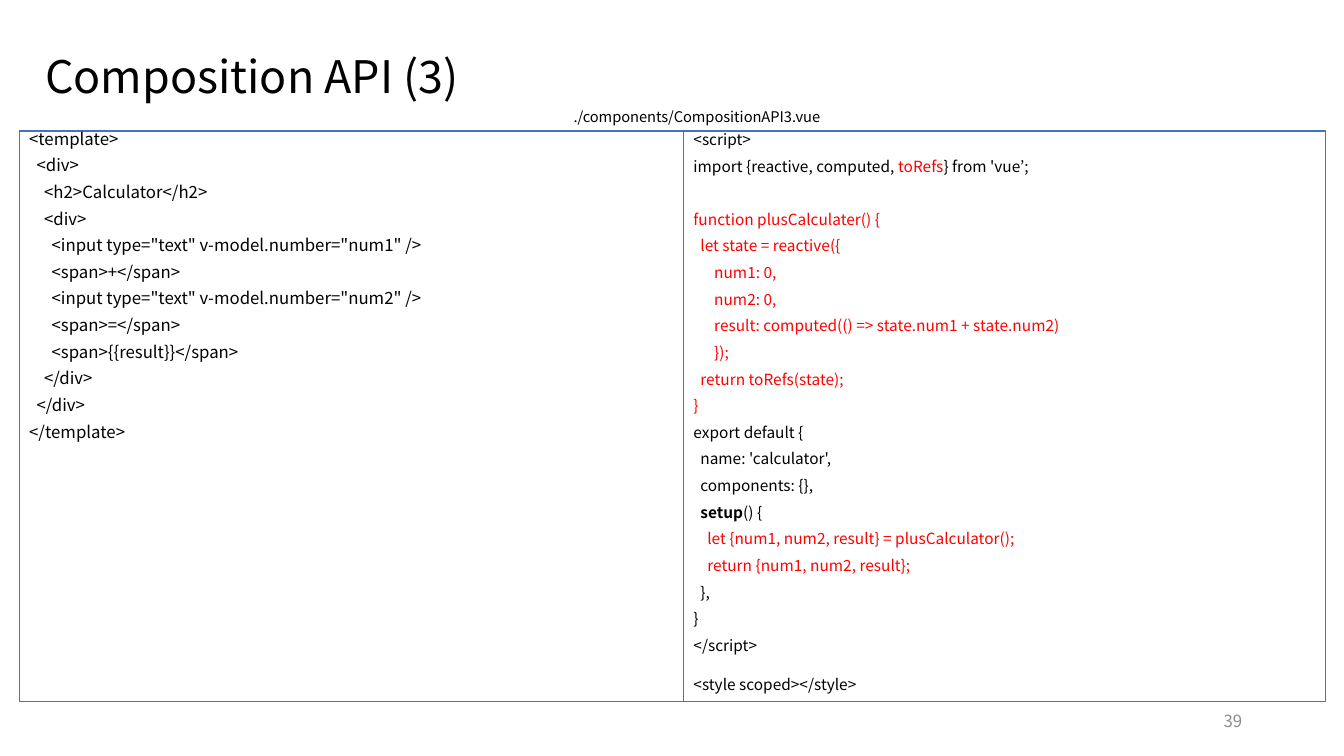
from pptx import Presentation
from pptx.dml.color import RGBColor
from pptx.enum.shapes import MSO_SHAPE
from pptx.enum.text import MSO_ANCHOR, PP_ALIGN
from pptx.util import Pt

PX = 9144  # 100 px to the inch
FONT = "Noto Sans CJK KR"
BLACK = RGBColor(0x00, 0x00, 0x00)
RED = RGBColor(0xFF, 0x00, 0x00)
GRAY = RGBColor(0x8C, 0x8C, 0x8C)
BLUE = RGBColor(0x44, 0x72, 0xC4)
RECT = MSO_SHAPE.RECTANGLE
TOP, MIDDLE = MSO_ANCHOR.TOP, MSO_ANCHOR.MIDDLE
LEFT, RIGHT = PP_ALIGN.LEFT, PP_ALIGN.RIGHT

LINE, GAP = 9, 10  # code line height and space between lines, in points

# Code blocks: extra space above, colour, lines.
# A line of mixed style is a list of (text, colour, bold).
MARKUP = [
    (0, BLACK, [
        '<template>',
        '  <div>',
        '    <h2>Calculator</h2>',
        '    <div>',
        '      <input type="text" v-model.number="num1" />',
        '      <span>+</span>',
        '      <input type="text" v-model.number="num2" />',
        '      <span>=</span>',
        '      <span>{{result}}</span>',
        '    </div>',
        '  </div>',
        '</template>',
    ]),
]
SCRIPT = [
    (0, BLACK, [
        "<script>",
        [("import {reactive, computed, ", BLACK, False),
         ("toRefs", RED, False),
         ("} from 'vue’;", BLACK, False)],
    ]),
    (LINE + GAP, RED, [
        "function plusCalculater() {",
        "  let state = reactive({",
        "      num1: 0,",
        "      num2: 0,",
        "      result: computed(() => state.num1 + state.num2)",
        "      });",
        "  return toRefs(state);",
        "}",
    ]),
    (0, BLACK, [
        "export default {",
        "  name: 'calculator',",
        "  components: {},",
        [("  ", BLACK, False), ("setup", BLACK, True), ("() {", BLACK, False)],
    ]),
    (0, RED, [
        "    let {num1, num2, result} = plusCalculator();",
        "    return {num1, num2, result};",
    ]),
    (0, BLACK, ["  },", "}", "</script>"]),
    (LINE, BLACK, ["<style scoped></style>"]),
]


def style(font, size, color):
    font.name = FONT
    font.size = Pt(size)
    font.color.rgb = color


def add_label(slide, box, text, size, color=BLACK, align=LEFT,
              anchor=MIDDLE, wrap=True):
    frame = slide.shapes.add_textbox(*(v * PX for v in box)).text_frame
    frame.word_wrap = wrap
    frame.vertical_anchor = anchor
    para = frame.paragraphs[0]
    para.text = text
    para.alignment = align
    style(para.font, size, color)
    return para


def add_line(para, line, size, color):
    para.alignment = LEFT
    para.line_spacing = Pt(LINE)
    if isinstance(line, str):
        para.text = line
        style(para.font, size, color)
        return
    for text, tint, bold in line:
        run = para.add_run()
        run.text = text
        style(run.font, size, tint)
        run.font.bold = bold


def add_code(slide, box, blocks, size):
    panel = slide.shapes.add_shape(RECT, *(v * PX for v in box))
    panel.shadow.inherit = False
    panel.fill.background()
    panel.line.color.rgb = BLUE
    panel.line.width = Pt(0.75)
    frame = panel.text_frame
    frame.word_wrap = True
    frame.vertical_anchor = TOP
    para = None
    for extra, color, lines in blocks:
        for i, line in enumerate(lines):
            if para is None:
                para = frame.paragraphs[0]
            else:
                para = frame.add_paragraph()
                para.space_before = Pt(GAP + (extra if i == 0 else 0))
            add_line(para, line, size, color)


def build_slide(deck):
    slide = deck.slides.add_slide(deck.slide_layouts[6])

    # Title and page number
    title = add_label(slide, (35, 40, 1266, 77), "Composition API (3)", 32)
    title.line_spacing = 0.9
    add_label(slide, (942, 695, 300, 40), "39", 12, GRAY, RIGHT)

    # Template on the left, script on the right
    left, top, split, right, height = 19, 130, 678, 1315, 566
    add_code(slide, (left, top, split - left, height), MARKUP, 12)
    add_code(slide, (split, top, right - split, height), SCRIPT, 11)

    # File name above the panels
    add_label(slide, (559, 102, 267, 28), "./components/CompositionAPI3.vue",
              10.5, anchor=TOP, wrap=False)


def main():
    deck = Presentation()
    deck.slide_width, deck.slide_height = 1333 * PX, 750 * PX
    build_slide(deck)
    deck.save("out.pptx")


if __name__ == "__main__":
    main()
